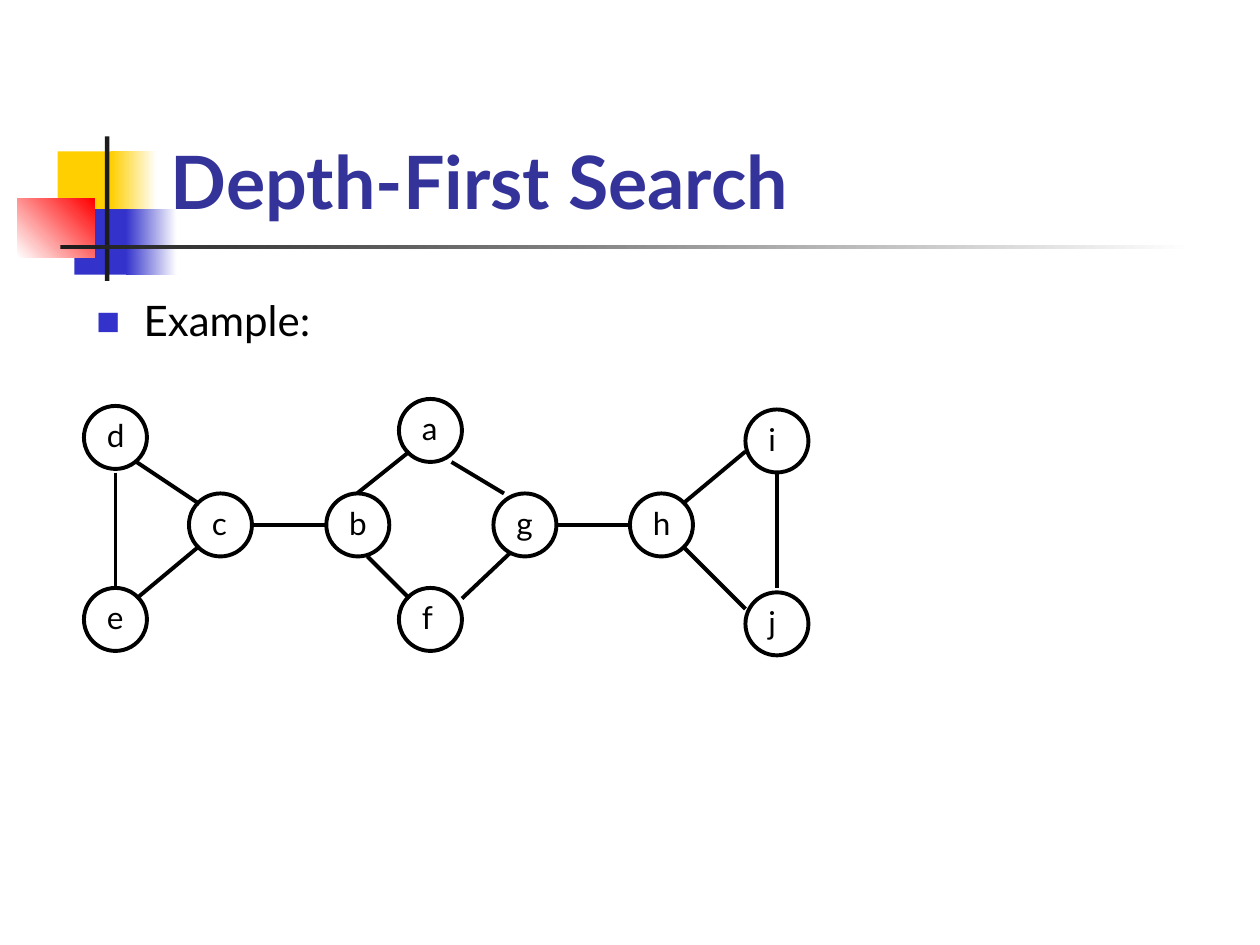
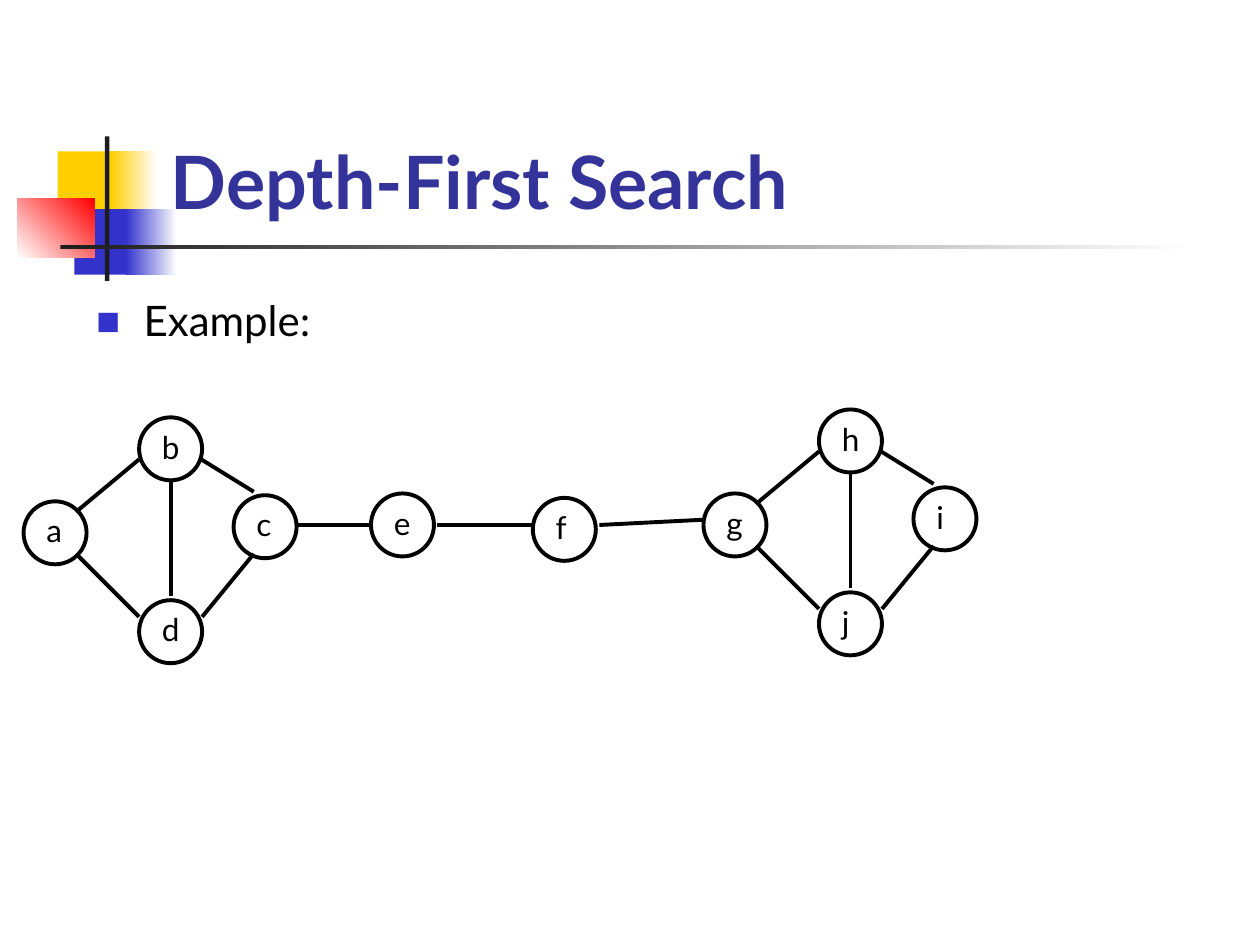
from lxml import etree
from pptx import Presentation
from pptx import util as u
from pptx.dml.color import RGBColor
from pptx.enum import shapes, text
from pptx.oxml import ns

COLOURS = {
    "title": "333399",
    "ink": "000000",
    "yellow": "FFCF01",
    "blue": "3333CC",
    "red": "FF0000",
    "dark": "1C1C1C",
    "white": "FFFFFF",
}
FONT = "Lato"
LINE_WIDTH = 2.25
NODE_SIZE = 36

MOTIF = [
    ((33, 86.5, 34.5, 37.5), ("yellow",), 0),
    ((63.5, 86.5, 26, 37.5), ("yellow", "white"), 0),
    ((42.5, 119.5, 33, 37.5), ("blue",), 0),
    ((72, 119.5, 29, 37.5), ("blue", "white"), 0),
    ((10, 113.5, 44, 33.5), ("white", "red"), 45),
    ((60, 78, 2.5, 82.5), ("dark",), 0),
    ((34.5, 140, 648, 2.5), ("dark", "white"), 0),
]

TRIANGLE_NODES = [(402, 282), (468, 234), (468, 338.5)]
TRIANGLE_EDGES = [
    (432, 312, 468, 348),
    (432, 288, 468, 258),
    (486, 270, 486, 336),
]
DIAMOND_NODES = TRIANGLE_NODES + [(522, 278.5)]
DIAMOND_EDGES = TRIANGLE_EDGES + [
    (533.5, 312, 504, 348),
    (533.5, 276.5, 503.5, 258),
]


class Deck:
    def __init__(self):
        self.presentation = Presentation()
        self.presentation.slide_width = u.Pt(720)
        self.presentation.slide_height = u.Pt(540)
        self.slide = None

    def colour(self, name):
        return RGBColor.from_string(COLOURS[name])

    def style(self, paragraph, size, colour="ink", bold=False):
        for run in paragraph.runs:
            run.font.name = FONT
            run.font.size = u.Pt(size)
            run.font.bold = bold
            run.font.color.rgb = self.colour(colour)

    def start(self, title):
        self.slide = self.presentation.slides.add_slide(self.presentation.slide_layouts[5])
        for box, colours, angle in MOTIF:
            self.block(box, colours, angle)
        shape = self.slide.shapes.title
        shape.left, shape.top, shape.width, shape.height = map(u.Pt, (90.5, 16.5, 613.5, 115))
        frame = shape.text_frame
        frame.text = title
        frame.auto_size = text.MSO_AUTO_SIZE.NONE
        frame.vertical_anchor = text.MSO_ANCHOR.BOTTOM
        paragraph = frame.paragraphs[0]
        paragraph.alignment = text.PP_ALIGN.LEFT
        self.style(paragraph, 42, "title", bold=True)

    def block(self, box, colours, angle):
        shape = self.slide.shapes.add_shape(shapes.MSO_SHAPE.RECTANGLE, *map(u.Pt, box))
        shape.shadow.inherit = False
        shape.line.fill.background()
        if len(colours) == 1:
            shape.fill.solid()
            shape.fill.fore_color.rgb = self.colour(colours[0])
            return
        shape.fill.gradient()
        shape.fill.gradient_angle = angle
        for stop, name in zip(shape.fill.gradient_stops, colours):
            stop.position = colours.index(name)
            stop.color.rgb = self.colour(name)

    def label(self, words, box, size):
        shape = self.slide.shapes.add_textbox(*map(u.Pt, box))
        shape.text_frame.word_wrap = True
        shape.text_frame.text = words
        paragraph = shape.text_frame.paragraphs[0]
        self.style(paragraph, size)
        return paragraph

    def bullet(self, words, box):
        paragraph = self.label(words, box, 24)
        properties = paragraph._p.get_or_add_pPr()
        properties.set("marL", str(u.Pt(27)))
        properties.set("indent", str(-u.Pt(27)))
        bullet_colour = etree.SubElement(properties, ns.qn("a:buClr"))
        etree.SubElement(bullet_colour, ns.qn("a:srgbClr"), val=COLOURS["blue"])
        etree.SubElement(properties, ns.qn("a:buSzPct"), val="60000")
        etree.SubElement(properties, ns.qn("a:buFont"), typeface=FONT)
        etree.SubElement(properties, ns.qn("a:buChar"), char="■")
        paragraph.line_spacing = 0.8

    def outline(self, line):
        line.color.rgb = self.colour("ink")
        line.width = u.Pt(LINE_WIDTH)

    def node(self, name, left, top):
        box = (left, top, NODE_SIZE, NODE_SIZE)
        shape = self.slide.shapes.add_shape(shapes.MSO_SHAPE.OVAL, *map(u.Pt, box))
        shape.shadow.inherit = False
        shape.fill.background()
        self.outline(shape.line)
        self.label(name, (left + 6, top + 2.25, 42, 29), 18)

    def edge(self, *ends):
        connector = self.slide.shapes.add_connector(shapes.MSO_CONNECTOR.STRAIGHT, *map(u.Pt, ends))
        self.outline(connector.line)
        etree.SubElement(connector._element.spPr, ns.qn("a:effectLst"))

    def graph(self, names, nodes, edges, right=0, down=0):
        for x1, y1, x2, y2 in edges:
            self.edge(x1 + right, y1 + down, x2 + right, y2 + down)
        for name, (left, top) in zip(names, nodes):
            self.node(name, left + right, top + down)

    def example(self):
        self.start("Depth-First Search")
        self.bullet("Example:", (48, 170.5, 162, 45.5))


def build_cycles(deck):
    deck.example()
    nodes = [(48, 232), (48, 336), (108, 282), (186.5, 282), (282, 282), (228, 336), (228, 228)]
    edges = [
        (66, 270, 66, 336),
        (78, 264, 114, 288),
        (78, 342, 114, 312),
        (144, 300, 186, 300),
        (204, 282, 234, 258),
        (210, 318, 234, 342),
        (258, 264, 288, 282),
        (264, 342, 291.5, 316),
        (318, 300, 360, 300),
    ]
    deck.graph("decbgfa", nodes, edges)
    deck.graph("hij", TRIANGLE_NODES, TRIANGLE_EDGES, right=-42)


def build_diamonds(deck):
    deck.example()
    nodes = [(212, 282), (304.5, 284.5)]
    edges = [(169, 300, 212, 300), (250, 300, 304.5, 300), (342.5, 300, 402, 297)]
    deck.graph("ef", nodes, edges)
    deck.graph("ghji", DIAMOND_NODES, DIAMOND_EDGES)
    deck.graph("abdc", DIAMOND_NODES, DIAMOND_EDGES, right=-388.5, down=4.5)


def main():
    deck = Deck()
    build_cycles(deck)
    build_diamonds(deck)
    deck.presentation.save("out.pptx")


if __name__ == "__main__":
    main()
